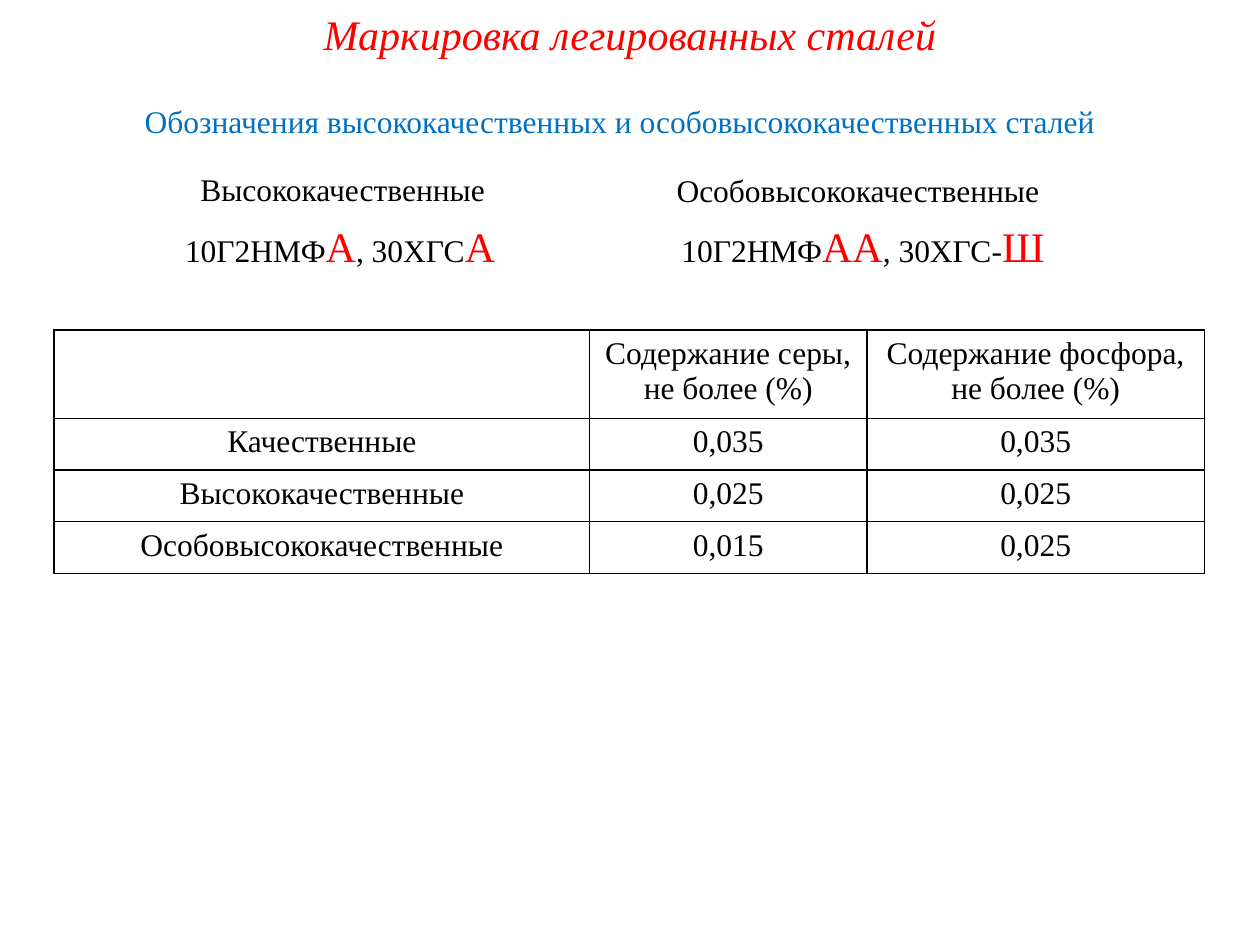
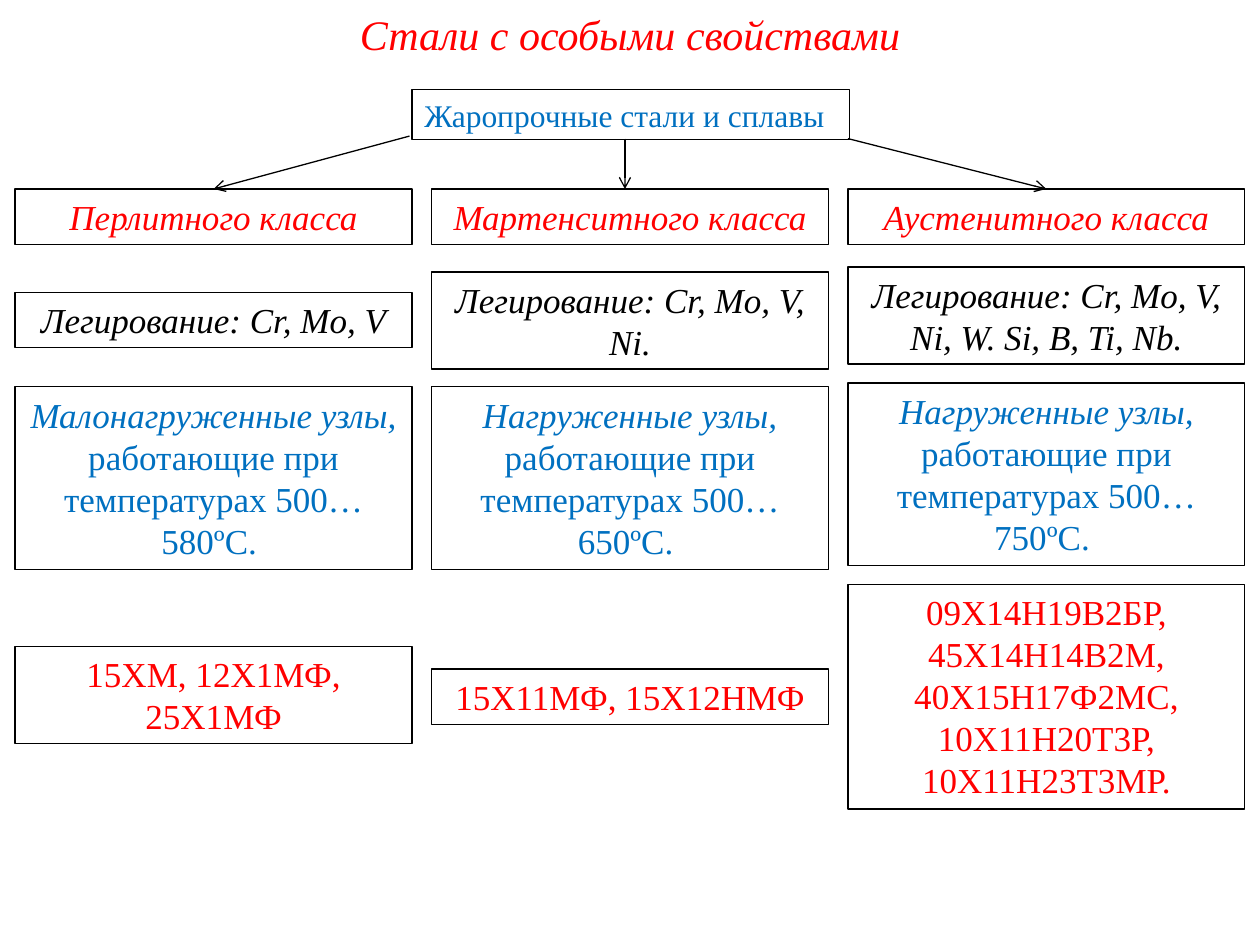
"""Build two slides on alloy steel grades and heat-resistant steels."""
import lxml.etree
import pptx
import pptx.dml.color
import pptx.enum.shapes
import pptx.enum.text
import pptx.oxml
import pptx.oxml.ns
import pptx.util

Inches = pptx.util.Inches
Pt = pptx.util.Pt
qn = pptx.oxml.ns.qn
CENTER = pptx.enum.text.PP_ALIGN.CENTER
LEFT = pptx.enum.text.PP_ALIGN.LEFT
TOP = pptx.enum.text.MSO_ANCHOR.TOP
MID = pptx.enum.text.MSO_ANCHOR.MIDDLE
GROW = pptx.enum.text.MSO_AUTO_SIZE.SHAPE_TO_FIT_TEXT
RECT = pptx.enum.shapes.MSO_SHAPE.RECTANGLE
LINE = pptx.enum.shapes.MSO_CONNECTOR.STRAIGHT
RED, BLUE, BLACK = "FF0000", "0070C0", "000000"


def rgb(code):
    return pptx.dml.color.RGBColor.from_string(code)


def put(frame, runs, align=CENTER, **form):
    for key, value in form.items():
        setattr(frame, key, value)
    line = frame.paragraphs[0]
    line.alignment = align
    for text, size, code, slant in runs:
        run = line.add_run()
        run.text = text
        look = {"name": "Times New Roman", "size": Pt(size), "italic": slant}
        for key, value in look.items():
            setattr(run.font, key, value)
        run.font.color.rgb = rgb(code)


deck = pptx.Presentation()
deck.slide_width, deck.slide_height = Inches(10), Inches(7.5)
wrap = {"word_wrap": True, "auto_size": GROW, "vertical_anchor": TOP}
loose = {**wrap, "word_wrap": False}

pages = []
for title in ["Маркировка легированных сталей", "Стали с особыми свойствами"]:
    page = deck.slides.add_slide(deck.slide_layouts[6])
    box = page.shapes.add_textbox(*map(Inches, (0.67, 0.02, 8.66, 0.5)))
    put(box.text_frame, [(title, 24, RED, True)], **wrap)
    pages.append(page)
marks, heat = pages

head = "Обозначения высококачественных и особовысококачественных сталей"
high, top = "Высококачественные", "Особовысококачественные"
notes = [
    ((1.05, 0.76, 7.89, 0.4), [(head, 18, BLUE, False)], LEFT, {**loose, "vertical_anchor": MID}),
    ((0.75, 1.3, 3.94, 0.4), [(high, 18, BLACK, False)], CENTER, wrap),
    ((4.84, 1.31, 3.94, 0.4), [(top, 18, BLACK, False)], CENTER, wrap),
]
grades = [
    (1.37, 2.69, ["10Г2НМФ", "А", ", 30ХГС", "А"]),
    (5.31, 3.11, ["10Г2НМФ", "АА", ", 30ХГС-", "Ш"]),
]
for left, width, parts in grades:
    runs = [(part, 24, RED, False) if i % 2 else (part, 18, BLACK, False)
            for i, part in enumerate(parts)]
    notes.append(((left, 1.7, width, 0.5), runs, LEFT, loose))
for place, runs, align, form in notes:
    box = marks.shapes.add_textbox(*map(Inches, place))
    put(box.text_frame, runs, align, **form)

rows = [
    ("", "Содержание серы, не более (%)", "Содержание фосфора, не более (%)"),
    ("Качественные", "0,035", "0,035"),
    (high, "0,025", "0,025"),
    (top, "0,015", "0,025"),
]
grid = marks.shapes.add_table(4, 3, *map(Inches, (0.43, 2.62, 9.13, 1.93))).table
grid.first_row = grid.horz_banding = False
for col, width in zip(grid.columns, (4.25, 2.2, 2.68)):
    col.width = Inches(width)
for row, height, texts in zip(grid.rows, (0.7, 0.41, 0.41, 0.41), rows):
    row.height = Inches(height)
    for cell, text in zip(row.cells, texts):
        if text:
            put(cell.text_frame, [(text, 18, BLACK, False)])
        props = cell._tc.get_or_add_tcPr()
        for side in ("lnL", "lnR", "lnT", "lnB"):
            edge = lxml.etree.SubElement(props, qn("a:" + side), w=str(Pt(1)))
            fill = lxml.etree.SubElement(edge, qn("a:solidFill"))
            lxml.etree.SubElement(fill, qn("a:srgbClr"), val=BLACK)
        cell.fill.background()

work = "работающие при температурах 500…"
boxes = [((3.27, 0.71, 3.47, 0.4), [("Жаропрочные стали и сплавы", 18, BLUE, False)],
          LEFT, {**loose, "vertical_anchor": MID})]
kinds = [
    ("Перлитного класса", "Cr, Mo, V", "Малонагруженные", 580, "15ХМ, 12Х1МФ, 25Х1МФ",
     ((1.5, 0.44), (2.32, 0.44), (3.07, 1.45), (5.13, 0.77))),
    ("Мартенситного класса", "Cr, Mo, V, Ni.", "Нагруженные", 650, "15Х11МФ, 15Х12НМФ",
     ((1.5, 0.44), (2.16, 0.77), (3.07, 1.45), (5.31, 0.44))),
    ("Аустенитного класса", "Cr, Mo, V, Ni, W. Si, B, Ti, Nb.", "Нагруженные", 750,
     "09Х14Н19В2БР, 45Х14Н14В2М, 40Х15Н17Ф2МС, 10Х11Н20Т3Р, 10Х11Н23Т3МР.",
     ((1.5, 0.44), (2.12, 0.77), (3.04, 1.45), (4.64, 1.78))),
]
for i, (name, alloy, load, limit, steels, spans) in enumerate(kinds):
    stack = [
        [(name, 20, RED, True)],
        [("Легирование: " + alloy, 20, BLACK, True)],
        [(load + " узлы, ", 20, BLUE, True), (f"{work}{limit}ºС. ", 20, BLUE, False)],
        [(steels, 20, RED, False)],
    ]
    for (y, height), runs in zip(spans, stack):
        boxes.append(((0.12 + 3.305 * i, y, 3.15, height), runs, CENTER, wrap))

drawn = []
for place, runs, align, form in boxes:
    box = heat.shapes.add_shape(RECT, *map(Inches, place))
    box.shadow.inherit = False
    box.fill.background()
    box.line.color.rgb = rgb(BLACK)
    box.line.width = Pt(0.75)
    put(box.text_frame, runs, align, **form)
    drawn.append(box)

arrows = [
    ((3.25, 1.08, 1.69, 1.5), drawn[1]),
    ((4.96, 1.1, 4.96, 1.5), None),
    ((6.73, 1.1, 8.31, 1.5), drawn[9]),
]
for ends, goal in arrows:
    link = heat.shapes.add_connector(LINE, *map(Inches, ends))
    if goal:
        link.end_connect(goal, 0)
    link.line.color.rgb = rgb(BLACK)
    link.line.width = Pt(0.75)
    lxml.etree.SubElement(link.line._get_or_add_ln(), qn("a:tailEnd"), type="arrow")
    lxml.etree.SubElement(link._element.spPr, qn("a:effectLst"))

deck.save("out.pptx")
